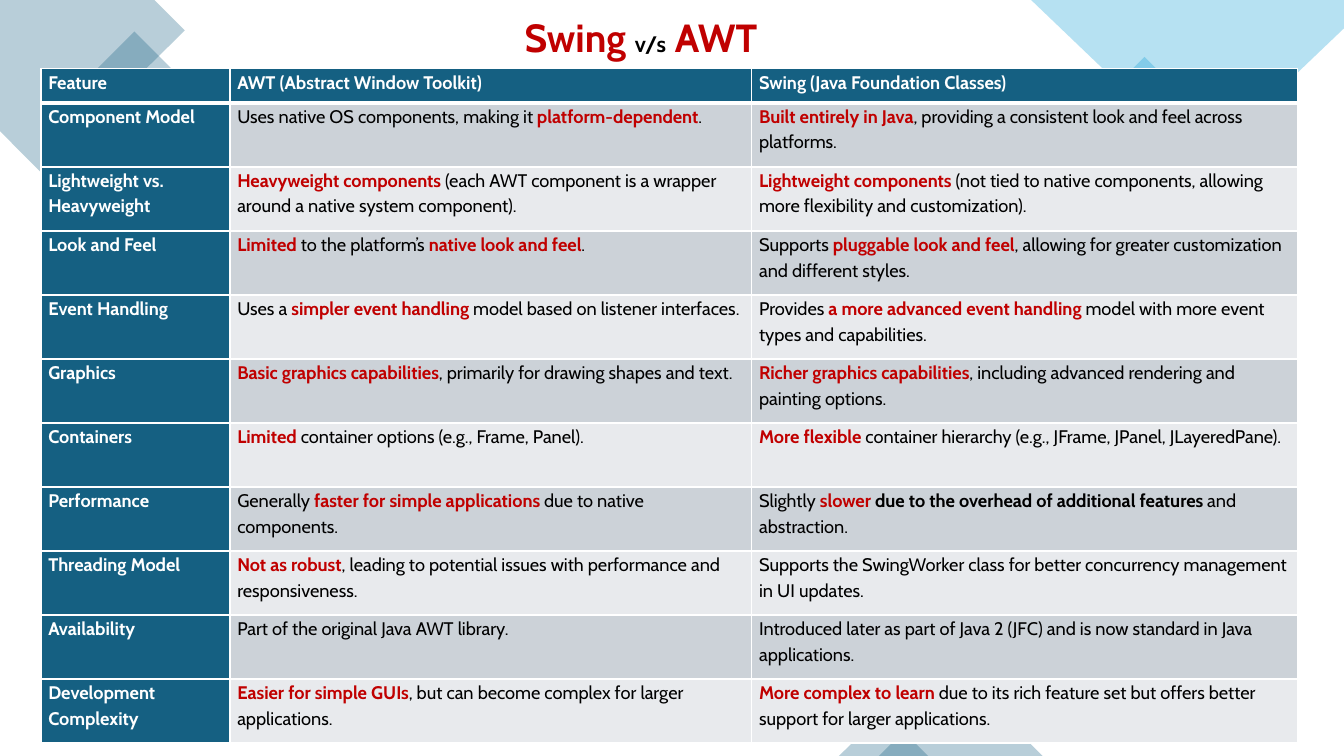
from lxml.etree import SubElement
from pptx import Presentation
from pptx.dml.color import RGBColor
from pptx.enum.shapes import MSO_SHAPE
from pptx.enum.text import MSO_ANCHOR, PP_ALIGN
from pptx.oxml.ns import qn
from pptx.util import Pt

PX = 9525
SLIDE_WIDTH, SLIDE_HEIGHT = 1280, 720
FONT = "Cabin"
BLUE = RGBColor(0x15, 0x60, 0x82)
SKY = RGBColor(0x0F, 0x9E, 0xD5)
RED = RGBColor(0xC0, 0x00, 0x00)
BLACK = RGBColor(0x00, 0x00, 0x00)
WHITE = RGBColor(0xFF, 0xFF, 0xFF)
DARK_BAND = RGBColor(0xCC, 0xD2, 0xD8)
LIGHT_BAND = RGBColor(0xE8, 0xEA, 0xED)

COLUMN_WIDTHS = (180, 497, 520)
HEADER_HEIGHT, ROW_HEIGHT = 33, 61
# Phrases between asterisks are bold, and red unless listed here.
BLACK_EMPHASIS = {" due to the overhead of additional features "}
ROWS = [
    ("Feature", "AWT (Abstract Window Toolkit)", "Swing (Java Foundation Classes)"),
    ("Component Model",
     "Uses native OS components, making it *platform-dependent*.",
     "*Built entirely in Java*, providing a consistent look and feel across platforms."),
    ("Lightweight vs. Heavyweight",
     "*Heavyweight components* (each AWT component is a wrapper around a native system component).",
     "*Lightweight components *(not tied to native components, allowing more flexibility and customization)."),
    ("Look and Feel",
     "*Limited* to the platform’s *native look and feel*.",
     "Supports *pluggable look and feel*, allowing for greater customization and different styles."),
    ("Event Handling",
     "Uses a *simpler event handling *model based on listener interfaces.",
     "Provides *a more advanced event handling *model with more event types and capabilities."),
    ("Graphics",
     "*Basic graphics capabilities*, primarily for drawing shapes and text.",
     "*Richer graphics capabilities*, including advanced rendering and painting options."),
    ("Containers",
     "*Limited* container options (e.g., Frame, Panel).",
     "*More flexible *container hierarchy (e.g., JFrame, JPanel, JLayeredPane)."),
    ("Performance",
     "Generally *faster for simple applications *due to native components.",
     "Slightly *slower** due to the overhead of additional features *and abstraction."),
    ("Threading Model",
     "*Not as robust*, leading to potential issues with performance and responsiveness.",
     "Supports the SwingWorker class for better concurrency management in UI updates."),
    ("Availability",
     "Part of the original Java AWT library.",
     "Introduced later as part of Java 2 (JFC) and is now standard in Java applications."),
    ("Development Complexity",
     "*Easier for simple GUIs*, but can become complex for larger applications.",
     "*More complex to learn *due to its rich feature set but offers better support for larger applications."),
]


def add_span(para, text, size=13, color=BLACK, bold=False):
    span = para.add_run()
    span.text = text
    span.font.name = FONT
    span.font.size = Pt(size)
    span.font.bold = bold
    span.font.color.rgb = color


def tint(shape, color):
    """Fill a decoration at 30 % opacity, without line or shadow."""
    shape.shadow.inherit = False
    shape.line.fill.background()
    shape.fill.solid()
    shape.fill.fore_color.rgb = color
    color_node = shape.fill._xPr.find(".//" + qn("a:srgbClr"))
    SubElement(color_node, qn("a:alpha"), val="30000")


def add_outline(slide, points, color):
    builder = slide.shapes.build_freeform(*points[0], scale=PX)
    builder.add_line_segments(points[1:], close=True)
    tint(builder.convert_to_shape(), color)


def add_preset(slide, kind, box, color, rotation=0):
    shape = slide.shapes.add_shape(kind, *(length * PX for length in box))
    shape.rotation = rotation
    tint(shape, color)


def add_decorations(slide, box):
    left, top, width, height = box
    right, bottom = left + width, top + height
    add_outline(slide, [(left + 147, top), (left, top), (left, top + 125),
                        (left + 39, top + 164), (left + 176, top + 29)], BLUE)
    add_preset(slide, MSO_SHAPE.RECTANGLE, (left + 94, top + 44, 68, 68), BLUE, 315)
    add_preset(slide, MSO_SHAPE.RECTANGLE, (right - 226, top + 69, 72, 72), SKY, 315)
    add_outline(slide, [(right, top), (right - 298, top), (right - 135, top + 156),
                        (right, top + 27)], SKY)
    for x, base, rise in ((right - 443, 156, 78), (right - 481, 85, 42)):
        add_preset(slide, MSO_SHAPE.ISOSCELES_TRIANGLE, (x, bottom - rise, base, rise), BLUE)


def add_title(slide, box):
    title = slide.shapes.title
    title.left, title.top, title.width, title.height = (length * PX for length in box)
    frame = title.text_frame
    frame.word_wrap = True
    frame.vertical_anchor = MSO_ANCHOR.TOP
    para = frame.paragraphs[0]
    para.alignment = PP_ALIGN.LEFT
    add_span(para, "Swing ", size=28, color=RED, bold=True)
    add_span(para, "v/s", size=16, bold=True)
    add_span(para, " AWT", size=28, color=RED, bold=True)


def add_borders(cell, **widths):
    """Draw white cell borders; each keyword is a side with its width in points."""
    properties = cell._tc.get_or_add_tcPr()
    for side, width in widths.items():
        line = SubElement(properties, qn("a:ln" + side), w=str(Pt(width)))
        fill = SubElement(line, qn("a:solidFill"))
        SubElement(fill, qn("a:srgbClr"), val=str(WHITE))


def format_cell(cell, text, row, column):
    add_borders(cell, L=1, R=1, T=3 if row == 1 else 1, B=3 if row == 0 else 1)
    heading = row == 0 or column == 0
    band = DARK_BAND if row % 2 else LIGHT_BAND
    cell.fill.solid()
    cell.fill.fore_color.rgb = BLUE if heading else band
    cell.margin_left = cell.margin_right = 7 * PX
    cell.margin_top = cell.margin_bottom = 0
    para = cell.text_frame.paragraphs[0]
    para.line_spacing = 1.15
    para.space_after = Pt(8)
    if heading:
        add_span(para, text, color=WHITE, bold=True)
        return
    for index, part in enumerate(text.split("*")):
        emphasis = index % 2 == 1
        red = emphasis and part not in BLACK_EMPHASIS
        if part:
            add_span(para, part, color=RED if red else BLACK, bold=emphasis)


def add_comparison(slide, left, top):
    height = HEADER_HEIGHT + ROW_HEIGHT * (len(ROWS) - 1)
    box = (left, top, sum(COLUMN_WIDTHS), height)
    table = slide.shapes.add_table(len(ROWS), len(COLUMN_WIDTHS),
                                   *(length * PX for length in box)).table
    for column, width in zip(table.columns, COLUMN_WIDTHS):
        column.width = width * PX
    for row, texts in enumerate(ROWS):
        table.rows[row].height = (ROW_HEIGHT if row else HEADER_HEIGHT) * PX
        for column, text in enumerate(texts):
            format_cell(table.cell(row, column), text, row, column)


def main():
    deck = Presentation()
    deck.slide_width, deck.slide_height = SLIDE_WIDTH * PX, SLIDE_HEIGHT * PX
    slide = deck.slides.add_slide(deck.slide_layouts.get_by_name("Title Only"))
    add_decorations(slide, (0, 0, SLIDE_WIDTH, SLIDE_HEIGHT))
    add_comparison(slide, 39, 65)
    add_title(slide, (490, 8, 298, 55))
    deck.save("out.pptx")


if __name__ == "__main__":
    main()
